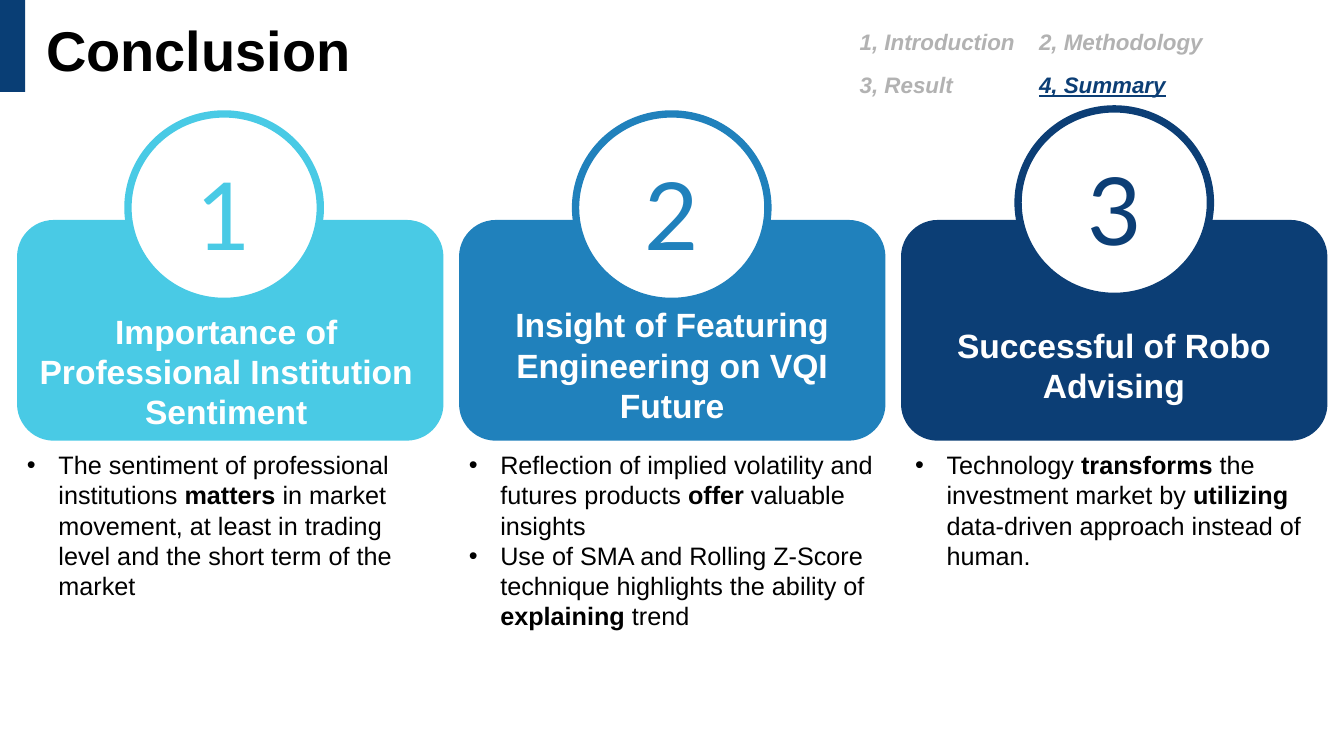
from lxml import etree
from pptx import Presentation
from pptx.dml.color import RGBColor
from pptx.enum.shapes import MSO_SHAPE
from pptx.enum.text import MSO_ANCHOR, PP_ALIGN
from pptx.oxml.ns import qn
from pptx.util import Pt

RECTANGLE, ROUNDED, OVAL = MSO_SHAPE.RECTANGLE, MSO_SHAPE.ROUNDED_RECTANGLE, MSO_SHAPE.OVAL
TOP, MIDDLE = MSO_ANCHOR.TOP, MSO_ANCHOR.MIDDLE
LEFT, CENTER = PP_ALIGN.LEFT, PP_ALIGN.CENTER

# Content: asterisks enclose bold words
TITLE = "Conclusion"
NAVIGATION = [
    (607, [("1, Introduction", False), ("3, Result", False)]),
    (735.1, [("2, Methodology", False), ("4, Summary", True)]),
]
# Each box is left, top, width, height
CARDS = [
    {"color": "49CAE5", "circle": (91.4, 81.4),
     "heading": "Importance of Professional Institution Sentiment",
     "heading_box": (12.2, 218.2, 298.8, 94.3),
     "bullets": ["The sentiment of professional institutions *matters* in market movement, "
                 "at least in trading level and the short term of the market"],
     "bullet_box": (12.2, 317.5, 304.6, 116.6)},
    {"color": "2081BC", "circle": (411.1, 81.4),
     "heading": "Insight of Featuring Engineering on VQI Future",
     "heading_box": (327.8, 213.8, 304.6, 94.3),
     "bullets": ["Reflection of implied volatility and futures products *offer* valuable insights",
                 "Use of SMA and Rolling Z-Score technique highlights the ability of "
                 "*explaining* trend"],
     "bullet_box": (327.8, 317.5, 304.6, 138.2)},
    {"color": "0C3E75", "circle": (727.2, 77.8),
     "heading": "Successful of Robo Advising",
     "heading_box": (646.6, 228.2, 298.1, 65.5),
     "bullets": ["Technology *transforms* the investment market by *utilizing* "
                 "data-driven approach instead of human."],
     "bullet_box": (646.6, 317.5, 298.1, 94.3)},
]

# Layout and formats
CARD_LEFT, CARD_TOP, CARD_WIDTH, CARD_HEIGHT, CARD_PITCH = 12.2, 157.1, 304.6, 157.7, 315.7
CIRCLE_WIDTH, CIRCLE_HEIGHT = 137.4, 133.9
NUMBER_WIDTH, NUMBER_HEIGHT, NUMBER_DROP = 111.6, 88.6, 33.1
BULLET_INDENT = 22.5
NAVIGATION_FONT = {"name": "Arial", "size": Pt(16), "bold": True, "italic": True}
TITLE_FONT = {"name": "Arial", "size": Pt(40), "bold": True}
HEADING_FONT = {"name": "Arial", "size": Pt(24), "bold": True}
BODY_FONT = {"name": "Arial", "size": Pt(18)}
NUMBER_FONT = {"name": "Lato", "size": Pt(67)}


def rgb(value):
    return RGBColor.from_string(value)


def add_shape(kind, box, fill, line=None):
    shape = slide.shapes.add_shape(kind, *map(Pt, box))
    shape.shadow.inherit = False
    shape.fill.solid()
    shape.fill.fore_color.rgb = rgb(fill)
    if line:
        shape.line.color.rgb = rgb(line)
        shape.line.width = Pt(5.25)
    else:
        shape.line.fill.background()


def add_frame(box, anchor=TOP, inset=None):
    frame = slide.shapes.add_textbox(*map(Pt, box)).text_frame
    frame.word_wrap = True
    frame.vertical_anchor = anchor
    if inset is not None:
        for side in ("left", "top", "right", "bottom"):
            setattr(frame, f"margin_{side}", Pt(inset))
    return frame


def add_paragraph(frame, first, text, font, color, align=LEFT, spacing=None, bullet=False):
    paragraph = frame.paragraphs[0] if first else frame.add_paragraph()
    paragraph.alignment = align
    if spacing:
        paragraph.line_spacing = spacing
    if bullet:
        properties = paragraph._p.get_or_add_pPr()
        properties.set("marL", str(Pt(BULLET_INDENT)))
        properties.set("indent", str(-Pt(BULLET_INDENT)))
        etree.SubElement(properties, qn("a:buFont")).set("typeface", "Arial")
        etree.SubElement(properties, qn("a:buChar")).set("char", "•")
    for index, part in enumerate(text.split("*")):
        run = paragraph.add_run()
        run.text = part
        for name, value in font.items():
            setattr(run.font, name, value)
        run.font.color.rgb = rgb(color)
        if index % 2:
            run.font.bold = True
    return paragraph


presentation = Presentation()
presentation.slide_width, presentation.slide_height = Pt(960), Pt(540)
slide = presentation.slides.add_slide(presentation.slide_layouts[6])

# Header: accent bar, navigation and title
add_shape(RECTANGLE, (0, 0, 18, 65.6), "093E75")
for left, entries in NAVIGATION:
    frame = add_frame((left, 7.2, 185, 64.1))
    for index, (entry, current) in enumerate(entries):
        color = "0C3E75" if current else "B2B2B2"
        font = {**NAVIGATION_FONT, "underline": current}
        paragraph = add_paragraph(frame, index == 0, entry, font, color, spacing=1.5)
        paragraph.space_after = Pt(1.7)
add_paragraph(add_frame((25.9, 13, 828, 51.8)), True, TITLE, TITLE_FONT, "000000", spacing=0.9)

# Numbered cards with their bullets
for index, card in enumerate(CARDS):
    color = card["color"]
    card_left = CARD_LEFT + index * CARD_PITCH
    add_shape(ROUNDED, (card_left, CARD_TOP, CARD_WIDTH, CARD_HEIGHT), color)

    circle_left, circle_top = card["circle"]
    add_shape(OVAL, (circle_left, circle_top, CIRCLE_WIDTH, CIRCLE_HEIGHT), "FFFFFF", color)
    number_left = circle_left + (CIRCLE_WIDTH - NUMBER_WIDTH) / 2
    number_box = (number_left, circle_top + NUMBER_DROP, NUMBER_WIDTH, NUMBER_HEIGHT)
    add_paragraph(add_frame(number_box, MIDDLE, 0), True, str(index + 1),
                  NUMBER_FONT, color, CENTER, Pt(67))

    add_paragraph(add_frame(card["heading_box"]), True, card["heading"],
                  HEADING_FONT, "FFFFFF", CENTER)
    frame = add_frame(card["bullet_box"])
    for row, text in enumerate(card["bullets"]):
        add_paragraph(frame, row == 0, text, BODY_FONT, "000000", bullet=True)

presentation.save("out.pptx")
